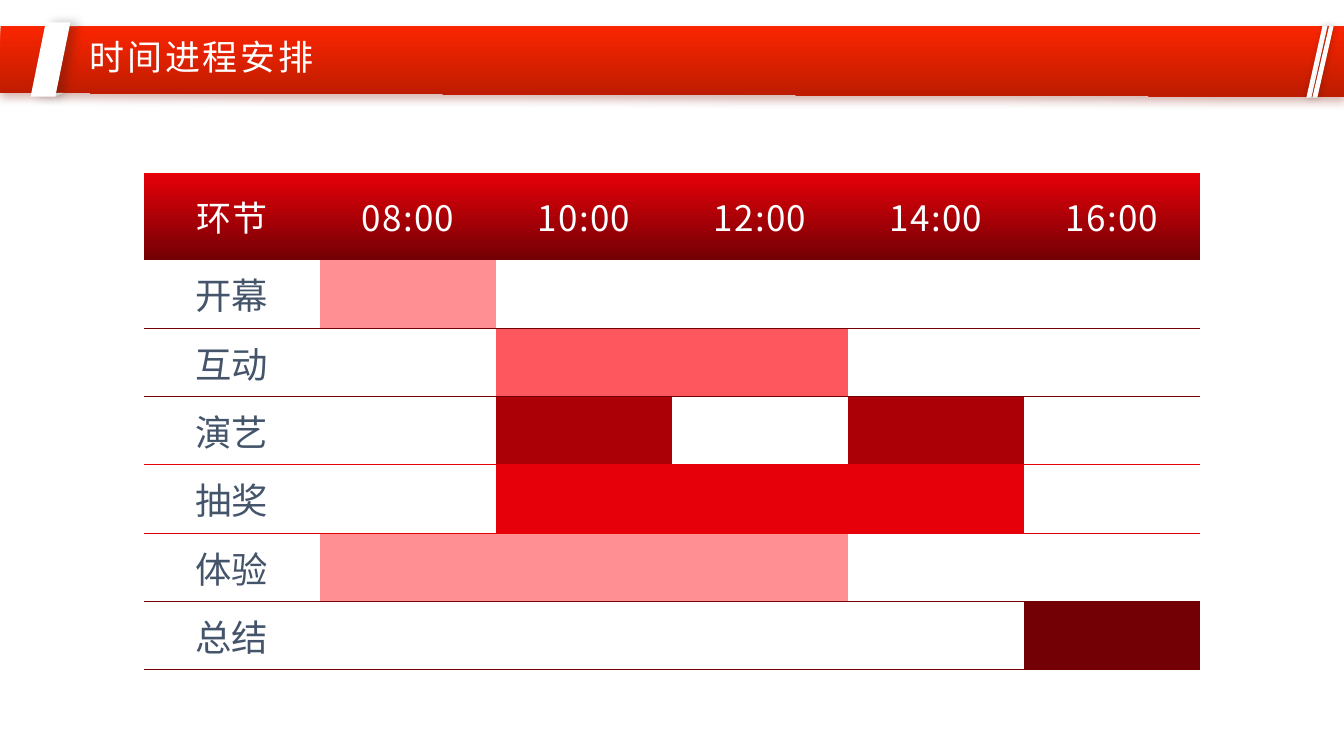
from lxml import etree
from pptx import Presentation
from pptx.dml.color import RGBColor
from pptx.enum.shapes import MSO_SHAPE
from pptx.enum.text import MSO_ANCHOR, MSO_AUTO_SIZE, PP_ALIGN
from pptx.oxml.ns import qn
from pptx.util import Pt

PARALLELOGRAM = MSO_SHAPE.PARALLELOGRAM
MIDDLE, CENTER, LEFT = MSO_ANCHOR.MIDDLE, PP_ALIGN.CENTER, PP_ALIGN.LEFT
FONT = "Noto Sans CJK SC"
WHITE, RED, DARK_RED, SLATE = "FFFFFF", "E60009", "730004", "44546A"
NO_STYLE_NO_GRID = "{2D5ABB26-0587-4C30-8999-92F81FD0307C}"


def paint(fill, top, bottom=None):
    """Fill with one colour, or with a vertical gradient when bottom is given."""
    if bottom is None:
        fill.solid()
        fill.fore_color.rgb = RGBColor.from_string(top)
        return
    fill.gradient()
    fill.gradient_angle = 270
    for stop, colour in zip(fill.gradient_stops, (top, bottom)):
        stop.color.rgb = RGBColor.from_string(colour)


def add_text(paragraph, text, size, colour, spacing, align):
    paragraph.alignment = align
    run = paragraph.add_run()
    run.text = text
    run.font.size = Pt(size)
    run.font.name = FONT
    paint(run.font.fill, colour)
    properties = run.font._element
    properties.set("spc", str(spacing * 100))
    etree.SubElement(properties, qn("a:ea"), typeface=FONT)


prs = Presentation()
prs.slide_width, prs.slide_height = Pt(960), Pt(540)
slide = prs.slides.add_slide(prs.slide_layouts[5])
shapes = slide.shapes

# Header band: outline, fill colours
band_pieces = [
    ([(0.5, 18.7), (960, 18.7), (960, 69), (0, 66.3)], ("FB2500", "BC1C00")),
    ([(39.6, 66.3), (38.9, 69), (45.4, 66.3)], (WHITE,)),
    ([(49, 18.7), (50.4, 15.9), (55.4, 18.7)], (WHITE,)),
    ([(944.6, 18.7), (948.2, 18.7), (936.7, 69.8), (933.1, 69.8)], (WHITE,)),
    ([(949.4, 18.7), (952.6, 18.7), (941, 69.8), (937.4, 69.8)], (WHITE,)),
]
pieces = []
for outline, colours in band_pieces:
    points = [(Pt(x), Pt(y)) for x, y in outline]
    builder = shapes.build_freeform(*points[0], scale=1.0)
    builder.add_line_segments(points[1:], close=True)
    piece = builder.convert_to_shape()
    paint(piece.fill, *colours)
    pieces.append(piece)
band, lower_fold, upper_fold, left_stripe, right_stripe = pieces

slash = shapes.add_shape(PARALLELOGRAM, Pt(21.9), Pt(15.9), Pt(28.4), Pt(53.1))
slash.adjustments[0] = 0.38
paint(slash.fill, WHITE)

# Shadow: colour, opacity %, blur, distance, direction in degrees
shadows = [
    (band, "7E1300", 31, 6, 3, 90),
    (slash, "181717", 25, 7, 5, 0),
    (left_stripe, "181717", 25, 5, 1, 0),
    (right_stripe, "181717", 25, 5, 1, 0),
]
for piece in pieces + [slash]:
    piece.line.fill.background()
    piece.shadow.inherit = False
for piece, colour, opacity, blur, distance, direction in shadows:
    effects = piece._element.spPr.find(qn("a:effectLst"))
    shadow = etree.SubElement(
        effects, qn("a:outerShdw"), blurRad=str(Pt(blur)), dist=str(Pt(distance)),
        dir=str(direction * 60000), algn="ctr", rotWithShape="0")
    tint = etree.SubElement(shadow, qn("a:srgbClr"), val=colour)
    etree.SubElement(tint, qn("a:alpha"), val=str(opacity * 1000))

# Title, brought in front of the band
title = shapes.title
title.left, title.top, title.width, title.height = Pt(64), Pt(28.8), Pt(592), Pt(27.4)
heading = title.text_frame
heading.margin_left = heading.margin_right = heading.margin_top = heading.margin_bottom = 0
heading.vertical_anchor = MIDDLE
heading.word_wrap = True
heading.auto_size = MSO_AUTO_SIZE.NONE
heading.paragraphs[0].line_spacing = 0.9
add_text(heading.paragraphs[0], "时间进程安排", 25, WHITE, 2, LEFT)
shapes._spTree.append(title._element)

# Schedule: stage, bar colour, active time columns, colour of the rule below
times = ["08:00", "10:00", "12:00", "14:00", "16:00"]
stages = [
    ("开幕", "FF8F93", [1], DARK_RED),
    ("互动", "FF575E", [2, 3], DARK_RED),
    ("演艺", "AC0007", [2, 4], RED),
    ("抽奖", RED, [2, 3, 4], RED),
    ("体验", "FF8F93", [1, 2, 3], DARK_RED),
    ("总结", DARK_RED, [5], DARK_RED),
]
HEADER_HEIGHT, STAGE_HEIGHT, COLUMN_WIDTH = 61.6, 48.85, 125.75
schedule = shapes.add_table(
    len(stages) + 1, len(times) + 1, Pt(102.8), Pt(123.8),
    Pt(COLUMN_WIDTH * (len(times) + 1)),
    Pt(HEADER_HEIGHT + STAGE_HEIGHT * len(stages))).table
schedule.first_row = schedule.horz_banding = False
schedule._tbl.tblPr.find(qn("a:tableStyleId")).text = NO_STYLE_NO_GRID
for column in schedule.columns:
    column.width = Pt(COLUMN_WIDTH)
for row in schedule.rows:
    row.height = Pt(STAGE_HEIGHT)
schedule.rows[0].height = Pt(HEADER_HEIGHT)

for column, label in enumerate(["环节"] + times):
    cell = schedule.cell(0, column)
    paint(cell.fill, RED, DARK_RED)
    add_text(cell.text_frame.paragraphs[0], label, 25, WHITE, 1, CENTER)

for row, (stage, bar_colour, active, rule_colour) in enumerate(stages, start=1):
    add_text(schedule.cell(row, 0).text_frame.paragraphs[0], stage, 26, SLATE, 0, CENTER)
    for column in range(len(times) + 1):
        cell = schedule.cell(row, column)
        if column in active:
            paint(cell.fill, bar_colour)
        else:
            cell.fill.background()
        rule = etree.Element(qn("a:lnB"), w=str(Pt(1 if row == len(stages) else 0.5)))
        rule_fill = etree.SubElement(rule, qn("a:solidFill"))
        etree.SubElement(rule_fill, qn("a:srgbClr"), val=rule_colour)
        cell._tc.get_or_add_tcPr().insert(0, rule)

for cell in schedule.iter_cells():
    cell.vertical_anchor = MIDDLE
    cell.margin_left = cell.margin_right = Pt(10.8)
    cell.margin_top = cell.margin_bottom = Pt(5)

prs.save("out.pptx")
